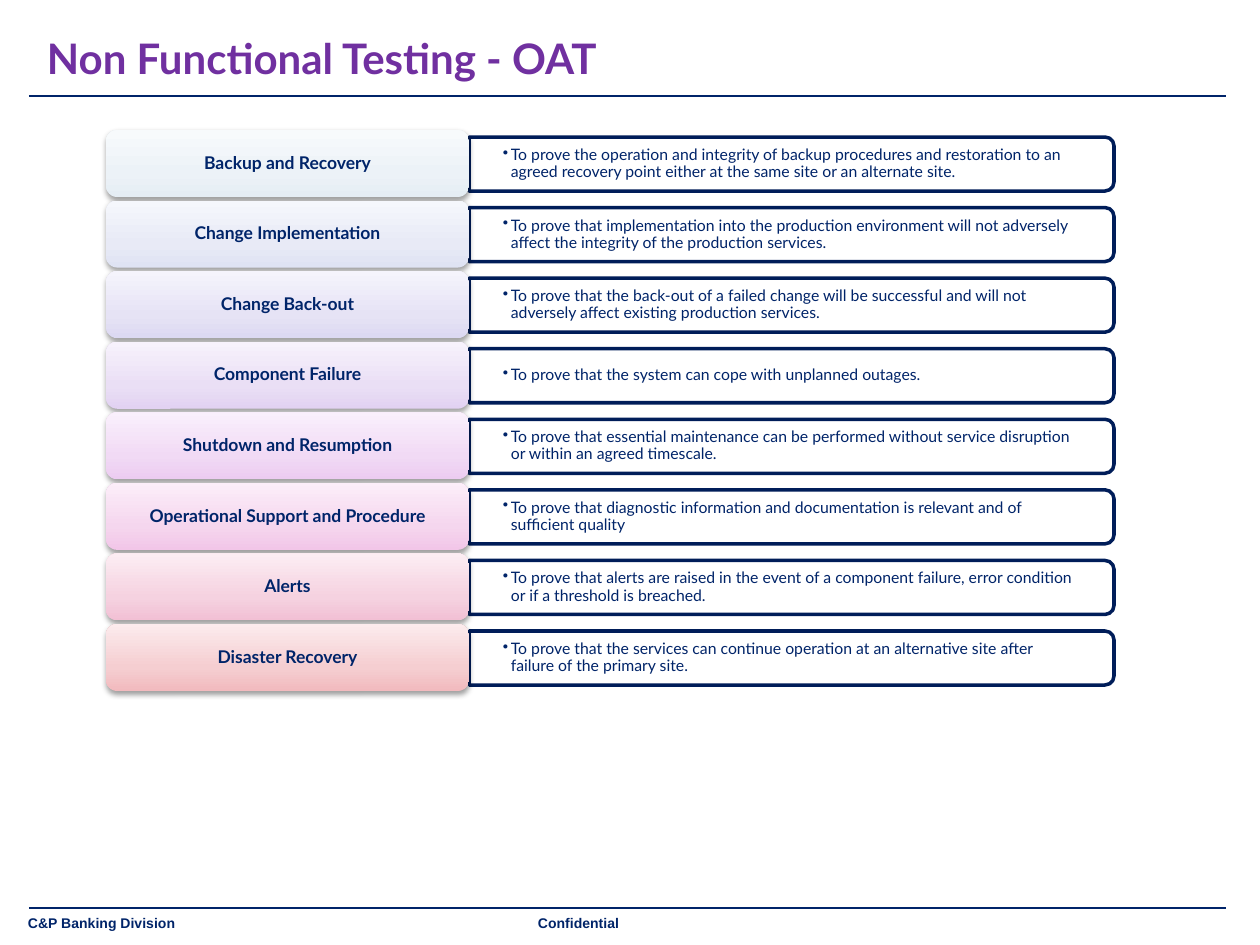
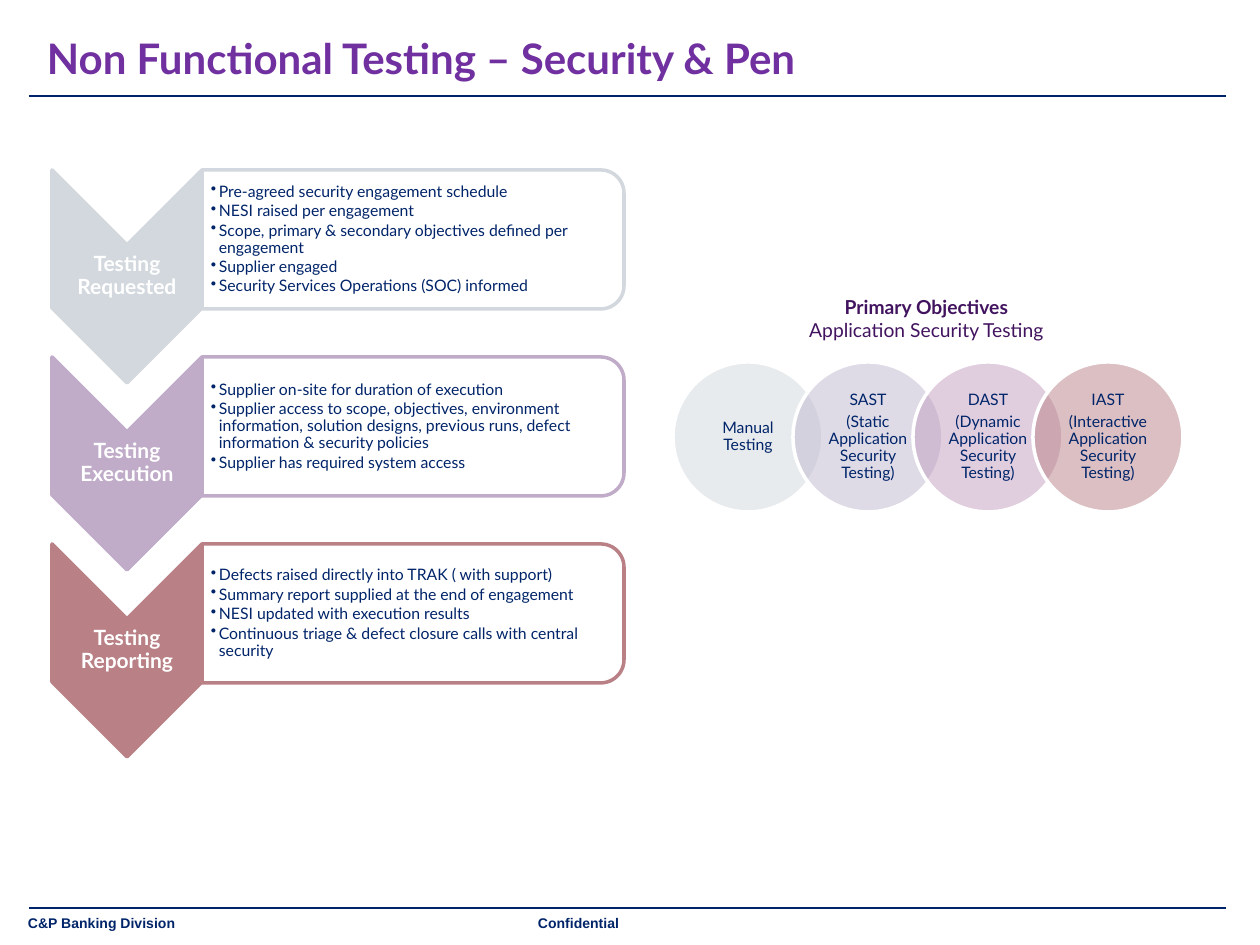
from copy import deepcopy

from lxml.etree import SubElement
from pptx import Presentation
from pptx.dml.color import RGBColor
from pptx.enum.shapes import MSO_CONNECTOR, MSO_SHAPE
from pptx.enum.text import MSO_ANCHOR, MSO_AUTO_SIZE, PP_ALIGN
from pptx.oxml.ns import qn
from pptx.util import Emu, Pt

EMU_PER_PX = 914400 / 126
TITLE_ONLY_LAYOUT = 5

COLORS = {
    "navy": "002469",
    "panel_line": "001D59",
    "title": "7030A0",
    "heading": "42145F",
    "white": "FFFFFF",
    "black": "000000",
}

RULE_TOPS = (96, 908)
FOOTERS = [("C&P Banking Division", 15), ("Confidential", 525)]

OAT_TITLE = "Non Functional Testing - OAT"
# label, purpose, gradient colours from bottom to top
OAT_ROWS = [
    ("Backup and Recovery",
     "To prove the operation and integrity of backup procedures and restoration to an "
     "agreed recovery point either at the same site or an alternate site.",
     ("E5EDF4", "ECF2F7", "F7FAFC")),
    ("Change Implementation",
     "To prove that implementation into the production environment will not adversely "
     "affect the integrity of the production services.",
     ("DFE3F3", "E8EAF6", "F5F7FC")),
    ("Change Back-out",
     "To prove that the back-out of a failed change will be successful and will not "
     "adversely affect existing production services.",
     ("DCD9F2", "E6E3F5", "F5F4FC")),
    ("Component Failure",
     "To prove that the system can cope with unplanned outages.",
     ("E2D2F2", "EADFF5", "F7F2FC")),
    ("Shutdown and Resumption",
     "To prove that essential maintenance can be performed without service disruption "
     "or within an agreed timescale.",
     ("ECCCF1", "F1DAF5", "FAF0FC")),
    ("Operational Support and Procedure",
     "To prove that diagnostic information and documentation is relevant and of "
     "sufficient quality",
     ("F2C6E8", "F5D6EE", "FCEEF9")),
    ("Alerts",
     "To prove that alerts are raised in the event of a component failure, error condition "
     "or if a threshold is breached.",
     ("F2C0D4", "F5D2E0", "FCEDF3")),
    ("Disaster Recovery",
     "To prove that the services can continue operation at an alternative site after "
     "failure of the primary site.",
     ("F2BABE", "F5CED1", "FCEBED")),
]
GRADIENT_STOPS = (0, 0.35, 1)

SECURITY_TITLE = "Non Functional Testing – Security & Pen"
SECURITY_STAGES = [
    ("Testing Requested", "D2D8DD", [
        "Pre-agreed security engagement schedule",
        "NESI raised per engagement",
        "Scope, primary & secondary objectives defined per engagement",
        "Supplier engaged",
        "Security Services Operations (SOC) informed",
    ]),
    ("Testing Execution", "C0ACC9", [
        "Supplier on-site for duration of execution",
        "Supplier access to scope, objectives, environment information, solution designs, "
        "previous runs, defect information & security policies",
        "Supplier has required system access",
    ]),
    ("Testing Reporting", "B98186", [
        "Defects raised directly into TRAK ( with support)",
        "Summary report supplied at the end of engagement",
        "NESI updated with execution results",
        "Continuous triage & defect closure calls with central security",
    ]),
]
OBJECTIVES_HEADING = ["Primary Objectives", "Application Security Testing"]
OBJECTIVES = [
    (["Manual Testing"], "D2D8DD"),
    (["SAST", "(Static Application Security Testing)"], "BFB9CF"),
    (["DAST", "(Dynamic Application Security Testing)"], "C39EC0"),
    (["IAST", "(Interactive Application Security Testing)"], "B98186"),
]

LABEL_FORMAT = dict(align=PP_ALIGN.CENTER, anchor=MSO_ANCHOR.MIDDLE,
                    line_spacing=0.9, gap=0.35)
BULLET_FORMAT = dict(size=9, anchor=MSO_ANCHOR.MIDDLE, line_spacing=0.9, gap=0.15, bullet=True)


def px(length):
    return Emu(round(length * EMU_PER_PX))


def box(*lengths):
    return [px(length) for length in lengths]


def rgb(hex_color):
    return RGBColor.from_string(hex_color)


def add_bullet(paragraph):
    properties = paragraph._p.get_or_add_pPr()
    properties.set("marL", str(px(8)))
    properties.set("indent", str(-px(8)))
    SubElement(properties, qn("a:buChar")).set("char", "•")


def write_text(shape, paragraphs, size, color=COLORS["navy"], font="Lato", bold=False,
               align=PP_ALIGN.LEFT, anchor=MSO_ANCHOR.TOP, insets=(13, 6),
               line_spacing=1.0, gap=0, bullet=False):
    """Fill a shape with paragraphs; gap is the space after, as a share of the size."""
    frame = shape.text_frame
    frame.word_wrap = True
    frame.auto_size = MSO_AUTO_SIZE.NONE
    frame.vertical_anchor = anchor
    frame.margin_left = frame.margin_right = px(insets[0])
    frame.margin_top = frame.margin_bottom = px(insets[1])
    for index, text in enumerate(paragraphs):
        paragraph = frame.add_paragraph() if index else frame.paragraphs[0]
        if bullet:
            add_bullet(paragraph)
        paragraph.alignment = align
        paragraph.line_spacing = line_spacing
        paragraph.space_after = Pt(size * gap)
        run = paragraph.add_run()
        run.text = text
        run.font.name = font
        run.font.size = Pt(size)
        run.font.bold = bold
        run.font.color.rgb = rgb(color)


def add_text(slide, bounds, paragraphs, **text_format):
    shape = slide.shapes.add_textbox(*box(*bounds))
    write_text(shape, paragraphs, **text_format)
    return shape


def add_shape(slide, kind, bounds, fill=None, line=None, opacity=100):
    shape = slide.shapes.add_shape(kind, *box(*bounds))
    shape.shadow.inherit = False
    if fill:
        shape.fill.solid()
        shape.fill.fore_color.rgb = rgb(fill)
        if opacity < 100:
            color = shape._element.spPr.find(qn("a:solidFill"))[0]
            SubElement(color, qn("a:alpha")).set("val", str(opacity * 1000))
    if line:
        shape.line.color.rgb = rgb(line)
        shape.line.width = Pt(2)
    else:
        shape.line.fill.background()
    return shape


def add_turned_shape(slide, kind, bounds, **style):
    """Add a shape turned a quarter clockwise that covers the given bounds."""
    left, top, width, height = bounds
    shift = (width - height) / 2
    shape = add_shape(slide, kind, (left + shift, top - shift, height, width), **style)
    shape.rotation = 90
    return shape


def fill_gradient(shape, colors):
    shape.fill.gradient()
    shape.fill.gradient_angle = 90
    stop_list = shape._element.spPr.find(".//" + qn("a:gsLst"))
    stop_list.append(deepcopy(stop_list[0]))
    for stop, position, color in zip(shape.fill.gradient_stops, GRADIENT_STOPS, colors):
        stop.position = position
        stop.color.rgb = rgb(color)


def add_soft_shadow(shape):
    effects = shape._element.spPr.find(qn("a:effectLst"))
    shadow = SubElement(effects, qn("a:outerShdw"), blurRad="40000", dist="20000",
                        dir="5400000", rotWithShape="0")
    color = SubElement(shadow, qn("a:srgbClr"), val=COLORS["black"])
    SubElement(color, qn("a:alpha"), val="38000")


def add_rule(slide, top):
    rule = slide.shapes.add_connector(MSO_CONNECTOR.STRAIGHT, *box(29, top, 1226, top))
    rule.line.color.rgb = rgb(COLORS["navy"])
    rule.line.width = Pt(1.5)
    SubElement(rule._element.spPr, qn("a:effectLst"))


def add_titled_slide(presentation, title_text):
    slide = presentation.slides.add_slide(presentation.slide_layouts[TITLE_ONLY_LAYOUT])
    title = slide.shapes.title
    title.left, title.top, title.width, title.height = box(34, 29, 942, 58)
    write_text(title, [title_text], size=24, color=COLORS["title"], bold=True,
               anchor=MSO_ANCHOR.MIDDLE)
    for top in RULE_TOPS:
        add_rule(slide, top)
    for text, left in FOOTERS:
        add_text(slide, (left, 909, 493, 30), [text], size=8, font="Arial", bold=True)
    return slide


def build_oat_slide(presentation):
    slide = add_titled_slide(presentation, OAT_TITLE)
    first_top, last_top = 130, 624
    pitch = (last_top - first_top) / (len(OAT_ROWS) - 1)
    for index, (label_text, purpose, gradient) in enumerate(OAT_ROWS):
        top = first_top + index * pitch
        add_turned_shape(slide, MSO_SHAPE.ROUND_2_SAME_RECTANGLE, (469, top + 7, 645, 54),
                         fill=COLORS["white"], line=COLORS["panel_line"])
        add_text(slide, (469, top + 10, 643, 48), [purpose], insets=(34, 18), **BULLET_FORMAT)
        label = add_shape(slide, MSO_SHAPE.ROUNDED_RECTANGLE, (106, top, 363, 67))
        fill_gradient(label, gradient)
        add_soft_shadow(label)
        write_text(label, [label_text], size=10, bold=True, insets=(5, 3), **LABEL_FORMAT)


def build_security_slide(presentation):
    slide = add_titled_slide(presentation, SECURITY_TITLE)
    for index, (paragraphs, color) in enumerate(OBJECTIVES):
        circle = add_shape(slide, MSO_SHAPE.OVAL, (673 + index * 120, 362, 150, 150),
                           fill=color, line=COLORS["white"], opacity=50)
        write_text(circle, paragraphs, size=9, insets=(9, 1), **LABEL_FORMAT)
    heading = add_text(slide, (673, 290, 507, 58), OBJECTIVES_HEADING, size=11, bold=True,
                       color=COLORS["heading"], align=PP_ALIGN.CENTER, insets=(11, 5))
    heading.text_frame.paragraphs[1].runs[0].font.bold = False

    for index, (stage, color, steps) in enumerate(SECURITY_STAGES):
        top = 170 + index * 187
        add_turned_shape(slide, MSO_SHAPE.CHEVRON, (52, top, 150, 213), fill=color, line=color)
        add_text(slide, (52, top + 74, 150, 64), [stage], size=12, color=COLORS["white"],
                 bold=True, insets=(1, 1), **LABEL_FORMAT)
        add_turned_shape(slide, MSO_SHAPE.ROUND_2_SAME_RECTANGLE, (202, top, 422, 139),
                         fill=COLORS["white"], line=color, opacity=90)
        add_text(slide, (202, top + 7, 415, 125), steps, insets=(9, 1), **BULLET_FORMAT)


def main():
    presentation = Presentation()
    presentation.slide_width, presentation.slide_height = box(1260, 945)
    build_oat_slide(presentation)
    build_security_slide(presentation)
    presentation.save("out.pptx")


if __name__ == "__main__":
    main()
